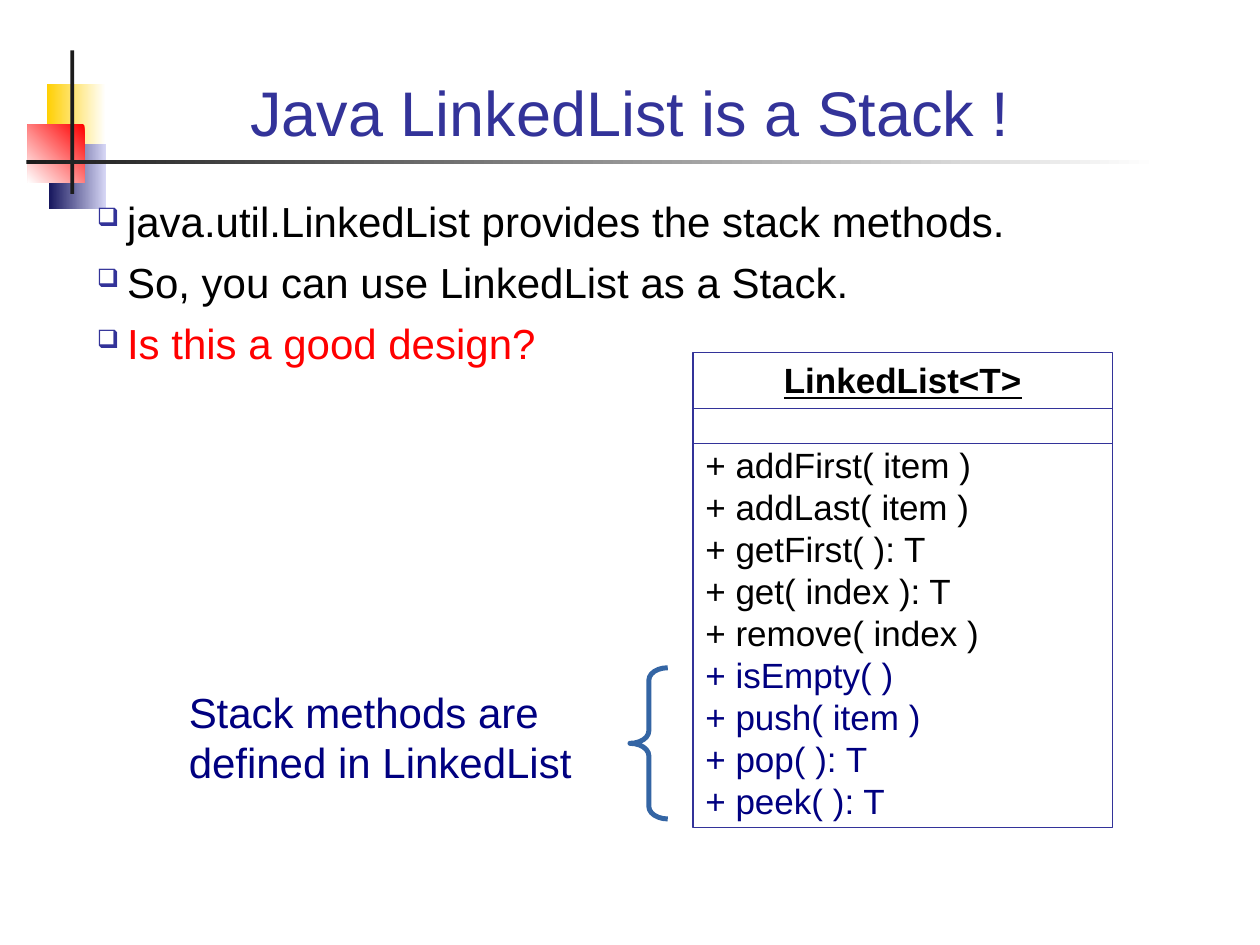
from pptx import Presentation
from pptx import util as u
from pptx.dml.color import RGBColor
from pptx.enum import shapes, text
from lxml import etree

NS = "http://schemas.openxmlformats.org/drawingml/2006/main"
SCALE = 9144
NAVY = "000080"
BLUE = "333399"
BLACK = "000000"
RED = "FF0000"


def px(n):
    return u.Emu(n * SCALE)


def color(code):
    return RGBColor.from_string(code)


def node(parent, tag, **attrs):
    return etree.SubElement(parent, f"{{{NS}}}{tag}", **attrs)


class Page:
    font = "Arial"

    def __init__(self, deck):
        self.slide = deck.slides.add_slide(deck.slide_layouts[5])
        self.items = self.slide.shapes

    def run(self, para, words, size, hue, bold=False):
        run = para.add_run()
        run.text = words
        face = run.font
        face.name, face.size = self.font, u.Pt(size)
        face.bold, face.underline = bold, bold
        face.color.rgb = color(hue)

    def bullet(self, para):
        props = para._p.get_or_add_pPr()
        props.set("marL", str(px(24)))
        props.set("indent", str(px(-24)))
        node(node(props, "buClr"), "srgbClr", val=BLUE)
        node(props, "buSzPct", val="60000")
        node(props, "buChar", char="❑")

    def lines(self, frame, rows, size, gap=0, marks=False):
        frame.word_wrap = True
        for i, (words, hue) in enumerate(rows):
            para = frame.add_paragraph() if i else frame.paragraphs[0]
            para.alignment = text.PP_ALIGN.LEFT
            para.line_spacing = u.Pt(size * 1.2)
            para.space_before = u.Pt(gap if i else 0)
            if marks:
                self.bullet(para)
            self.run(para, words, size, hue)

    def title(self, box, words):
        head = self.items.title
        head.left, head.top, head.width, head.height = map(px, box)
        frame = head.text_frame
        frame.vertical_anchor = text.MSO_ANCHOR.BOTTOM
        para = frame.paragraphs[0]
        para.alignment = text.PP_ALIGN.CENTER
        self.run(para, words, 36, BLUE)

    def note(self, box, rows, size, **style):
        label = self.items.add_textbox(*map(px, box))
        self.lines(label.text_frame, rows, size, **style)

    def shape(self, kind, box, line=None, width=0.75):
        item = self.items.add_shape(kind, *map(px, box))
        item.shadow.inherit = False
        item.fill.background()
        if line:
            item.line.color.rgb = color(line)
            item.line.width = u.Pt(width)
        else:
            item.line.fill.background()
        return item

    def block(self, box, start, end=None, angle=0):
        item = self.shape(shapes.MSO_SHAPE.RECTANGLE, box)
        if end is None:
            item.fill.solid()
            item.fill.fore_color.rgb = color(start)
            return
        item.fill.gradient()
        item.fill.gradient_angle = angle
        for stop, hue in zip(item.fill.gradient_stops, (start, end)):
            stop.color.rgb = color(hue)

    def rule(self, left, right, y):
        line = self.items.add_connector(
            shapes.MSO_CONNECTOR.STRAIGHT, px(left), px(y), px(right), px(y))
        line.line.color.rgb = color(BLUE)
        line.line.width = u.Pt(0.75)
        node(line._element.spPr, "effectLst")

    def uml(self, box, name, calls, size, cuts):
        left, top, width, height = box
        card = self.shape(shapes.MSO_SHAPE.RECTANGLE, box, BLUE)
        frame = card.text_frame
        frame.vertical_anchor = text.MSO_ANCHOR.TOP
        self.lines(frame, [(name, BLACK)] + calls, size)
        head, first = frame.paragraphs[:2]
        head.alignment = text.PP_ALIGN.CENTER
        face = head.runs[0].font
        face.bold = face.underline = True
        first.space_before = u.Pt(size * 1.2)
        for y in cuts:
            self.rule(left, left + width, y)

    def brace(self, box):
        item = self.shape(shapes.MSO_SHAPE.LEFT_BRACE, box, "3465A4", 2.83)
        item.adjustments[0] = 0.33


def main():
    deck = Presentation()
    deck.slide_width, deck.slide_height = px(1000), px(750)
    page = Page(deck)
    page.block((37, 67, 47, 52), "FFCF01", "FFFFFF")
    page.block((39, 114, 45, 52), "17175E", "D6D6F5")
    page.block((22, 99, 45, 46), RED, "FFFFFF", 225)
    page.block((56, 40, 3, 114), "1C1C1C")
    page.block((21, 127, 899, 3), "1C1C1C", "FFFFFF")
    page.note((67, 150, 866, 242), [
        ("java.util.LinkedList provides the stack methods.", BLACK),
        ("So, you can use LinkedList as a Stack.", BLACK),
        ("Is this a good design?", RED),
    ], 24, gap=6, marks=True)
    page.title((67, 28, 866, 95), "Java LinkedList is a Stack !")
    basic = ["addFirst( item )", "addLast( item )", "getFirst( ): T",
             "get( index ): T", "remove( index )"]
    stack = ["isEmpty( )", "push( item )", "pop( ): T", "peek( ): T"]
    calls = [("+ " + c, BLACK) for c in basic]
    calls += [("+ " + c, NAVY) for c in stack]
    page.uml((550, 280, 333, 377), "LinkedList<T>", calls, 20, (324, 352))
    page.brace((500, 530, 30, 120))
    page.note((140, 540, 360, 90),
              [("Stack methods are defined in LinkedList", NAVY)], 24)
    deck.save("out.pptx")


if __name__ == "__main__":
    main()
